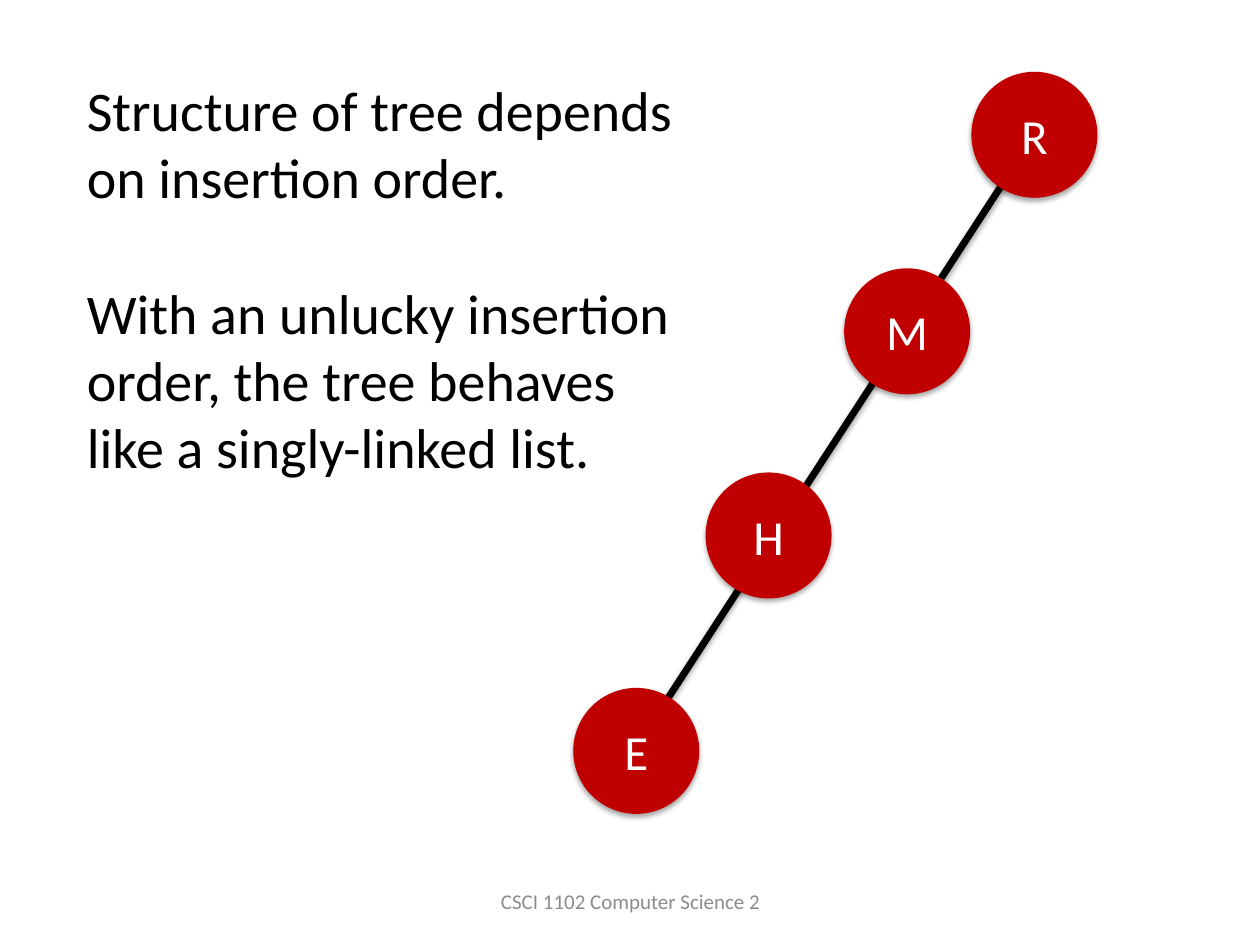
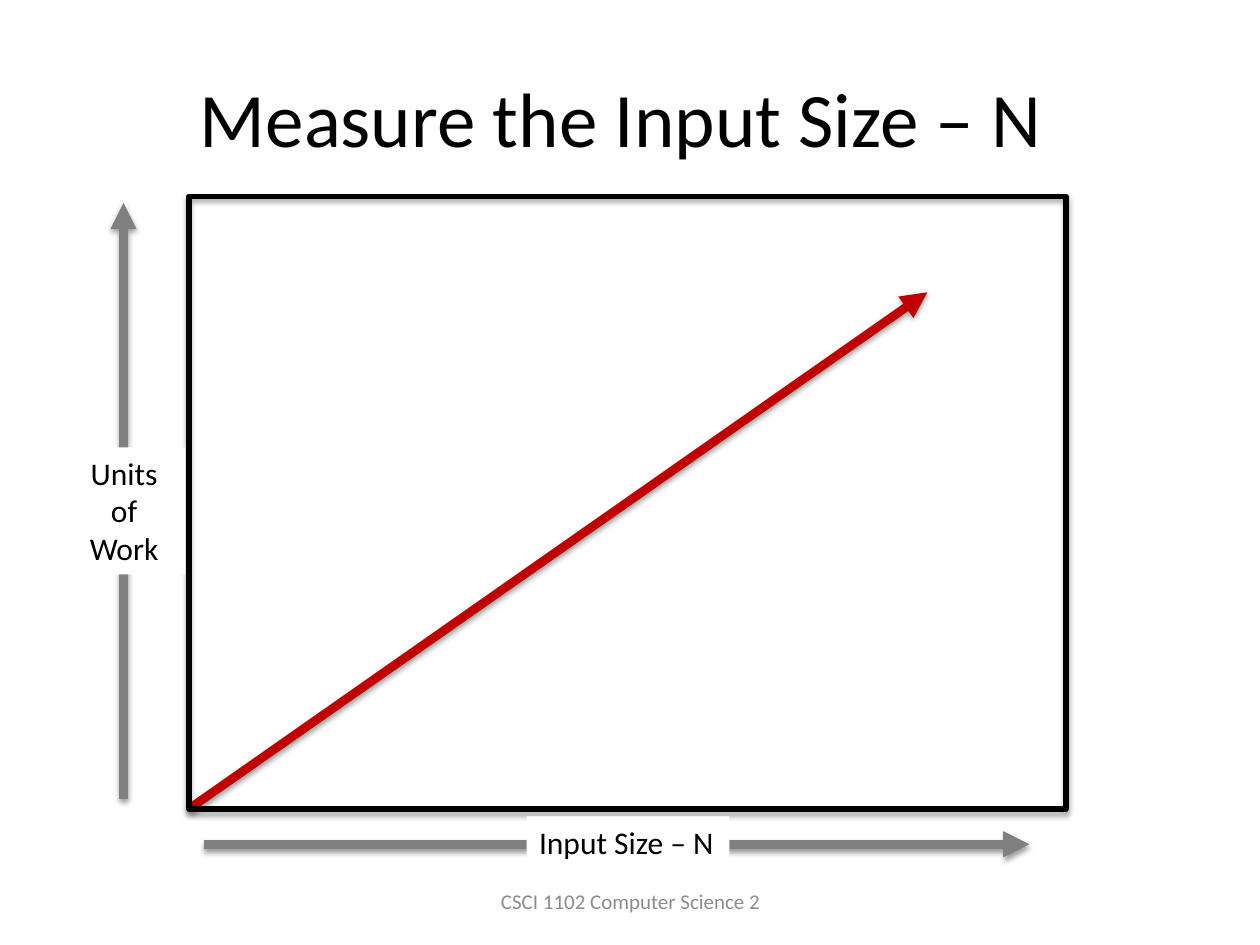
from dataclasses import dataclass

from lxml.etree import SubElement
from pptx import Presentation
from pptx.dml.color import RGBColor
from pptx.enum.shapes import MSO_CONNECTOR as Connector, MSO_SHAPE as Preset
from pptx.enum.text import MSO_ANCHOR as Anchor, PP_ALIGN as Align
from pptx.oxml.ns import qn
from pptx.util import Inches, Pt


@dataclass(frozen=True)
class Theme:
    font: str = "Calibri"
    black: str = "000000"
    white: str = "FFFFFF"
    red: str = "C00000"
    gray: str = "808080"
    footer_gray: str = "8C8C8C"
    title_size: int = 44
    body_size: int = 32
    node_size: int = 28
    label_size: int = 18
    footer_size: int = 12
    edge_width: float = 4
    arrow_width: float = 5
    frame_width: float = 3.25
    paragraph_gap: float = 39


FOOTER = "CSCI 1102 Computer Science 2"
TITLE_ONLY, BLANK = 5, 6


def inches(*lengths):
    return [Inches(length) for length in lengths]


def set_all(target, values):
    for name, value in values.items():
        setattr(target, name, value)


class Deck:
    def __init__(self, theme):
        self.theme = theme
        self.presentation = Presentation()
        set_all(self.presentation, {"slide_width": Inches(10), "slide_height": Inches(7.5)})

    def new_slide(self, layout):
        layouts = self.presentation.slide_layouts
        self.slide = self.presentation.slides.add_slide(layouts[layout])
        self.shapes = self.slide.shapes

    def start_group(self):
        self.shapes = self.slide.shapes.add_group_shape().shapes

    def end_group(self):
        self.shapes = self.slide.shapes

    def set_text(self, shape, paragraphs, size, color, align=Align.LEFT, anchor=Anchor.TOP, wrap=True):
        frame = shape.text_frame
        set_all(frame, {"text": "\n".join(paragraphs), "word_wrap": wrap, "vertical_anchor": anchor})
        for index, paragraph in enumerate(frame.paragraphs):
            gap = Pt(self.theme.paragraph_gap) if index else Pt(0)
            set_all(paragraph, {"alignment": align, "space_before": gap})
            set_all(paragraph.font, {"name": self.theme.font, "size": Pt(size)})
            paragraph.font.color.rgb = RGBColor.from_string(color)

    def fill(self, shape, color):
        shape.fill.solid()
        shape.fill.fore_color.rgb = RGBColor.from_string(color)

    def outline(self, shape, color, width):
        shape.line.color.rgb = RGBColor.from_string(color)
        shape.line.width = Pt(width)

    def shadow(self, shape, distance, opacity):
        effects = SubElement(shape._element.spPr, qn("a:effectLst"))
        outer = SubElement(effects, qn("a:outerShdw"), blurRad=str(Pt(3.1)),
                           dist=str(Pt(distance)), dir="5400000", rotWithShape="0")
        color = SubElement(outer, qn("a:srgbClr"), val=self.theme.black)
        SubElement(color, qn("a:alpha"), val=str(opacity * 1000))

    def title(self, text, box):
        title = self.slide.shapes.title
        set_all(title, dict(zip(("left", "top", "width", "height"), inches(*box))))
        self.set_text(title, [text], self.theme.title_size, self.theme.black, Align.CENTER, Anchor.MIDDLE)

    def text(self, paragraphs, box, size, color, **layout):
        shape = self.shapes.add_textbox(*inches(*box))
        self.set_text(shape, paragraphs, size, color, **layout)
        return shape

    def footer(self):
        self.text([FOOTER], (3.42, 6.95, 3.17, 0.4), self.theme.footer_size,
                  self.theme.footer_gray, align=Align.CENTER, anchor=Anchor.MIDDLE)

    def label(self, text, box, **layout):
        shape = self.text([text], box, self.theme.label_size, self.theme.black, **layout)
        self.fill(shape, self.theme.white)

    def line(self, start, end, color, width, arrow=False):
        line = self.shapes.add_connector(Connector.STRAIGHT, *inches(*start, *end))
        self.outline(line, color, width)
        if arrow:
            SubElement(line._element.spPr.find(qn("a:ln")), qn("a:tailEnd"), type="triangle")
        self.shadow(line, 1.6, 38)

    def arrow(self, start, end, color):
        self.line(start, end, color, self.theme.arrow_width, arrow=True)

    def node(self, letter, left, top):
        shape = self.shapes.add_shape(Preset.OVAL, *inches(left, top, 1, 1))
        self.fill(shape, self.theme.red)
        shape.line.fill.background()
        self.shadow(shape, 1.8, 35)
        self.set_text(shape, [letter], self.theme.node_size, self.theme.white, Align.CENTER, Anchor.MIDDLE)

    def frame(self, box):
        shape = self.shapes.add_shape(Preset.RECTANGLE, *inches(*box))
        shape.fill.background()
        self.outline(shape, self.theme.black, self.theme.frame_width)
        self.shadow(shape, 1.8, 35)


def unlucky_tree_slide(deck):
    theme = deck.theme
    nodes = {"M": (6.7, 2.13), "H": (5.6, 3.75), "E": (4.55, 5.46), "R": (7.71, 0.57)}
    deck.new_slide(BLANK)
    deck.footer()
    deck.start_group()
    deck.line((8.21, 1.07), (4.88, 6.19), theme.black, theme.edge_width)
    for letter, corner in nodes.items():
        deck.node(letter, *corner)
    deck.end_group()
    deck.text(["Structure of tree depends on insertion order.",
               "With an unlucky insertion order, the tree behaves like a singly-linked list."],
              (0.59, 0.55, 4.88, 3.33), theme.body_size, theme.black)


def input_size_slide(deck):
    theme = deck.theme
    left, top, width, height = plot = (1.5, 1.56, 6.96, 4.86)
    deck.new_slide(TITLE_ONLY)
    deck.title("Measure the Input Size – N ", (0.5, 0.3, 9, 1.25))
    deck.arrow((1.62, 6.7), (8.17, 6.7), theme.gray)
    deck.arrow((left, top + height), (7.36, 2.32), theme.red)
    deck.footer()
    deck.frame(plot)
    deck.label("Input Size – N", (4.18, 6.48, 1.61, 0.4), wrap=False)
    deck.arrow((0.98, 6.34), (0.98, 1.61), theme.gray)
    deck.label("Units of Work", (0.5, 3.55, 0.97, 1.01), align=Align.CENTER)


def main():
    deck = Deck(Theme())
    unlucky_tree_slide(deck)
    input_size_slide(deck)
    deck.presentation.save("out.pptx")


if __name__ == "__main__":
    main()
